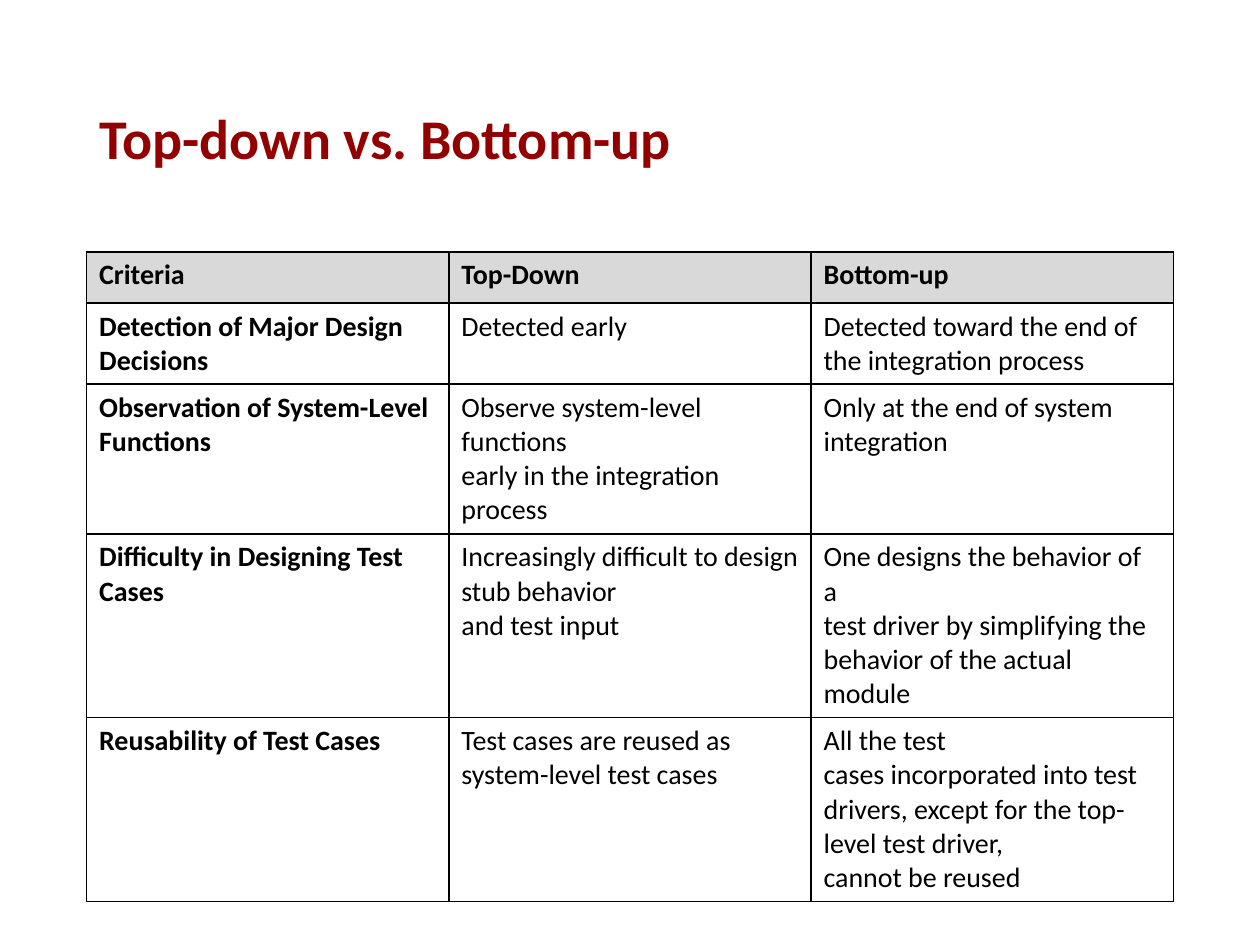
from typing import NamedTuple

from lxml.etree import SubElement as Sub
from pptx import Presentation
from pptx.dml.color import RGBColor as Rgb
from pptx.enum.text import MSO_ANCHOR as Anchor, PP_ALIGN as Align
from pptx.oxml.ns import qn
from pptx.util import Pt

INK = {"title": "920000", "text": "000000", "head": "D9D9D9", "cell": "FFFFFF"}
FONT = "Calibri"
LEFT, WIDTH = 49.5, 621


class Row(NamedTuple):
    high: float
    name: str
    down: str
    up: str


ROWS = [
    Row(29.2, "Criteria", "Top-Down", "Bottom-up"),
    Row(46.2, "Detection of Major Design Decisions", "Detected early",
        "Detected toward the end of the integration process"),
    Row(85.6, "Observation of System-Level Functions",
        "Observe system-level functions\nearly in the integration process",
        "Only at the end of system integration"),
    Row(105, "Difficulty in Designing Test Cases",
        "Increasingly difficult to design stub behavior\nand test input",
        "One designs the behavior of a\ntest driver by simplifying the "
        "behavior of the actual module"),
    Row(105, "Reusability of Test Cases",
        "Test cases are reused as\nsystem-level test cases",
        "All the test\ncases incorporated into test drivers, except for the "
        "top-level test driver,\ncannot be reused"),
]


def write(frame, text: str, *, size: float, color: str = "text",
          bold: bool = False, gap: float = 1.0) -> None:
    """Fill a text frame with one paragraph; newlines become line breaks."""
    para = frame.paragraphs[0]
    para.text = text.replace("\n", "\v")
    para.alignment = Align.LEFT
    para.line_spacing = gap
    for run in para.runs:
        font = run.font
        font.name, font.size, font.bold = FONT, Pt(size), bold
        font.color.rgb = Rgb.from_string(INK[color])
    # Breaks need the text size too, or they make their lines taller
    for br in para._p.findall(qn("a:br")):
        Sub(br, qn("a:rPr"), sz=str(int(size * 100)))


def frame_cell(cell, width: float = 1) -> None:
    """Draw a solid border on all four sides."""
    props = cell._tc.get_or_add_tcPr()
    for side in ("lnL", "lnR", "lnT", "lnB"):
        line = Sub(props, qn(f"a:{side}"), w=str(Pt(width)))
        fill = Sub(line, qn("a:solidFill"))
        Sub(fill, qn("a:srgbClr"), val=INK["text"])


def draw_table(slide, rows: list[Row]) -> None:
    high = sum(row.high for row in rows)
    table = slide.shapes.add_table(
        len(rows), 3, Pt(LEFT), Pt(144), Pt(WIDTH), Pt(high)).table
    table.horz_banding = False
    for col in table.columns:
        col.width = Pt(WIDTH / 3)
    for r, row in enumerate(rows):
        table.rows[r].height = Pt(row.high)
        for c, text in enumerate(row[1:]):
            cell = table.cell(r, c)
            frame_cell(cell)
            cell.fill.solid()
            cell.fill.fore_color.rgb = Rgb.from_string(
                INK["cell" if r else "head"])
            write(cell.text_frame, text, size=16, bold=r == 0 or c == 0)


def main() -> None:
    deck = Presentation()
    deck.slide_width, deck.slide_height = Pt(720), Pt(540)
    slide = deck.slides.add_slide(deck.slide_layouts[5])

    # Title
    title = slide.shapes.title
    title.left, title.top = Pt(LEFT), Pt(28.75)
    title.width, title.height = Pt(WIDTH), Pt(104.4)
    title.text_frame.vertical_anchor = Anchor.MIDDLE
    write(title.text_frame, "Top-down vs. Bottom-up", size=32,
          color="title", bold=True, gap=0.9)

    # Comparison table
    draw_table(slide, ROWS)
    deck.save("out.pptx")


if __name__ == "__main__":
    main()
